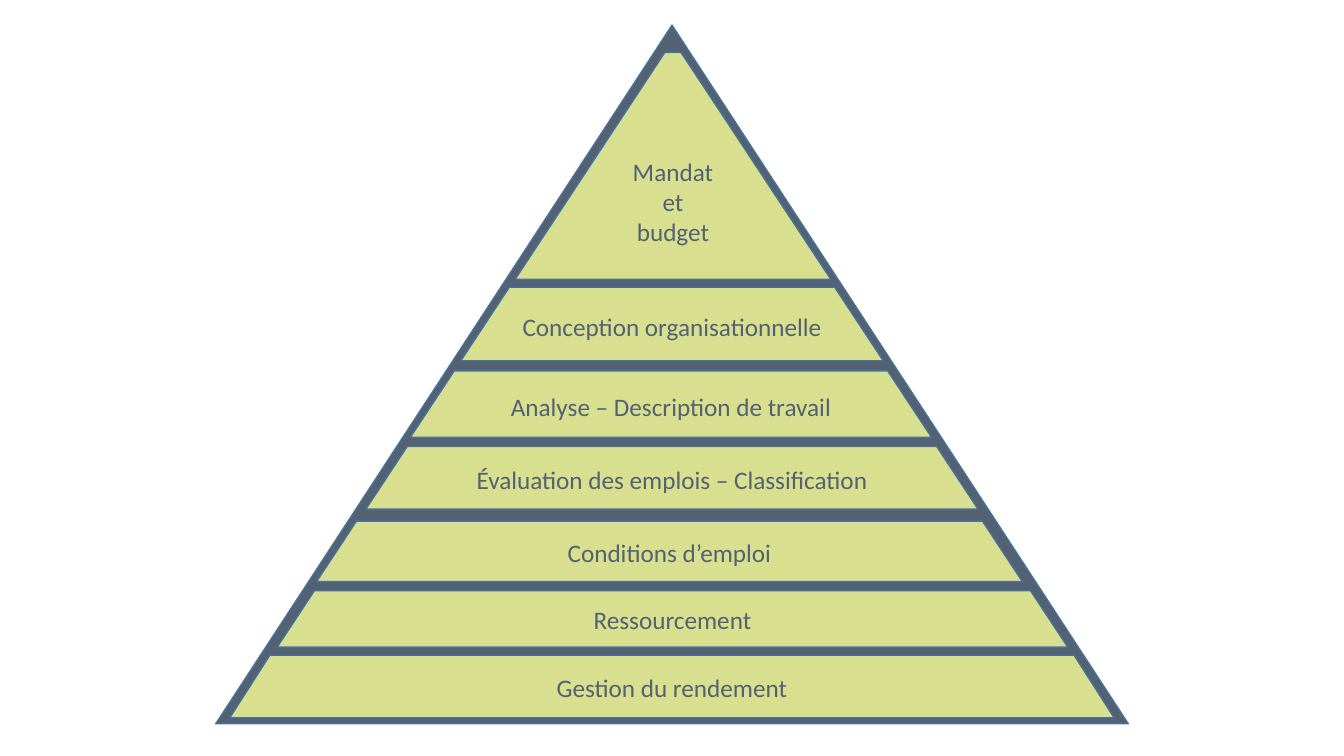
import dataclasses

import pptx
import pptx.dml.color
import pptx.enum.shapes
import pptx.enum.text
import pptx.util

Inches = pptx.util.Inches
Kind = pptx.enum.shapes.MSO_SHAPE
SLATE, LIME, EDGE = "536173", "D8E08F", "43739E"
FONT = {"name": "Calibri", "size": pptx.util.Pt(18)}
FRAME = {"word_wrap": True, "vertical_anchor": pptx.enum.text.MSO_ANCHOR.MIDDLE}


@dataclasses.dataclass
class Tier:
    text: str
    left: float
    top: float
    width: float
    height: float
    slant: float = 0.66


TIERS = [
    Tier("Mandat et budget", 5.11, 0.52, 3.13, 2.25),
    Tier("Conception organisationnelle", 4.57, 2.85, 4.19, 0.73),
    Tier("Analyse – Description de travail", 4.07, 3.68, 5.17, 0.66),
    Tier("Évaluation des emplois – Classification", 3.63, 4.43, 6.07, 0.62),
    Tier("Conditions d’emploi", 3.14, 5.17, 7, 0.6),
    Tier("Ressourcement", 2.75, 5.86, 7.84, 0.56),
    Tier("Gestion du rendement", 2.28, 6.5, 8.77, 0.62, 0.64),
]


def color(code: str) -> pptx.dml.color.RGBColor:
    return pptx.dml.color.RGBColor.from_string(code)


def style(item: object, values: dict) -> None:
    for name, value in values.items():
        setattr(item, name, value)


def add_block(slide, kind: Kind, left: float, top: float,
              width: float, height: float, fill: str):
    block = slide.shapes.add_shape(
        kind, Inches(left), Inches(top), Inches(width), Inches(height))
    block.shadow.inherit = False
    block.fill.solid()
    block.fill.fore_color.rgb = color(fill)
    block.line.color.rgb = color(EDGE)
    block.line.width = pptx.util.Pt(1)
    return block


def add_tier(slide, tier: Tier) -> None:
    block = add_block(slide, Kind.TRAPEZOID, tier.left, tier.top,
                      tier.width, tier.height, LIME)
    block.adjustments[0] = tier.slant
    frame = block.text_frame
    style(frame, FRAME)
    line = frame.paragraphs[0]
    line.alignment = pptx.enum.text.PP_ALIGN.CENTER
    run = line.add_run()
    run.text = tier.text
    style(run.font, FONT)
    run.font.color.rgb = color(SLATE)


deck = pptx.Presentation()
style(deck, {"slide_width": Inches(13.33), "slide_height": Inches(7.5)})
slide = deck.slides.add_slide(deck.slide_layouts[6])
add_block(slide, Kind.ISOSCELES_TRIANGLE, 2.14, 0.25, 9.05, 6.93, SLATE)
for tier in TIERS:
    add_tier(slide, tier)
deck.save("out.pptx")
